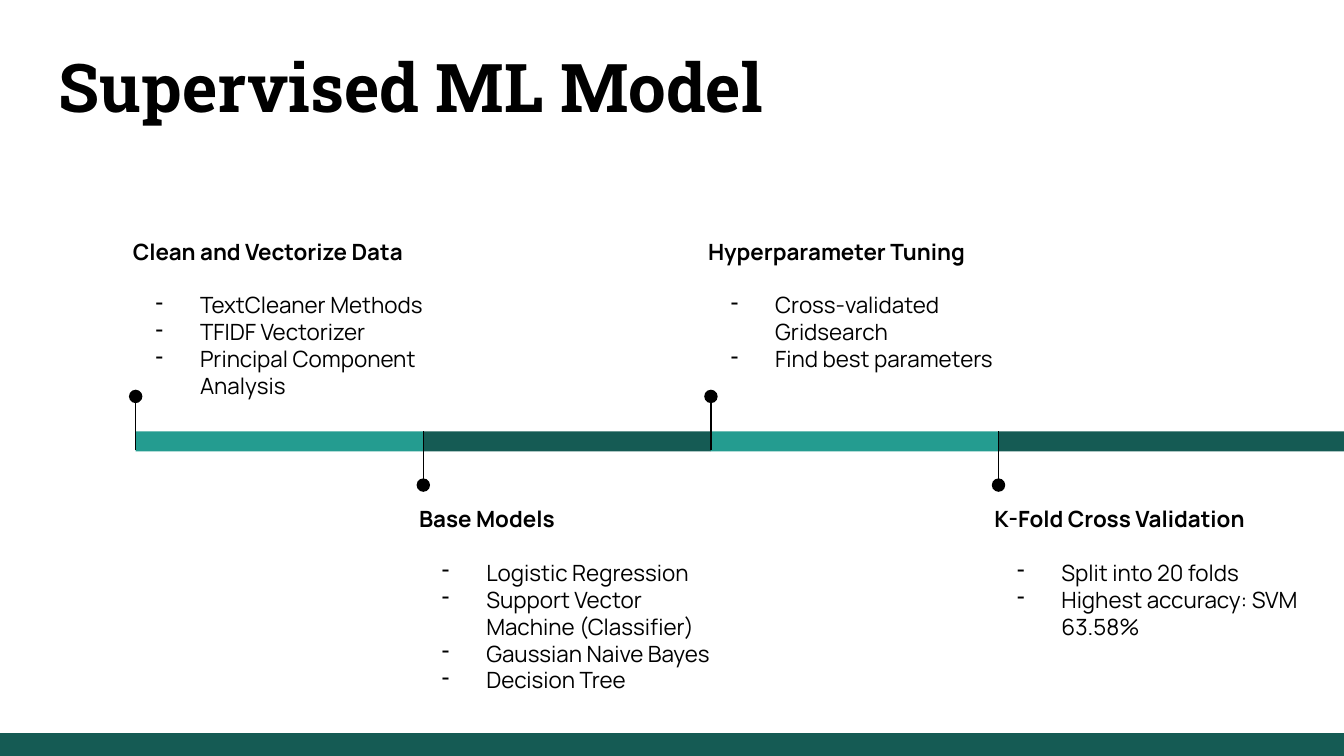
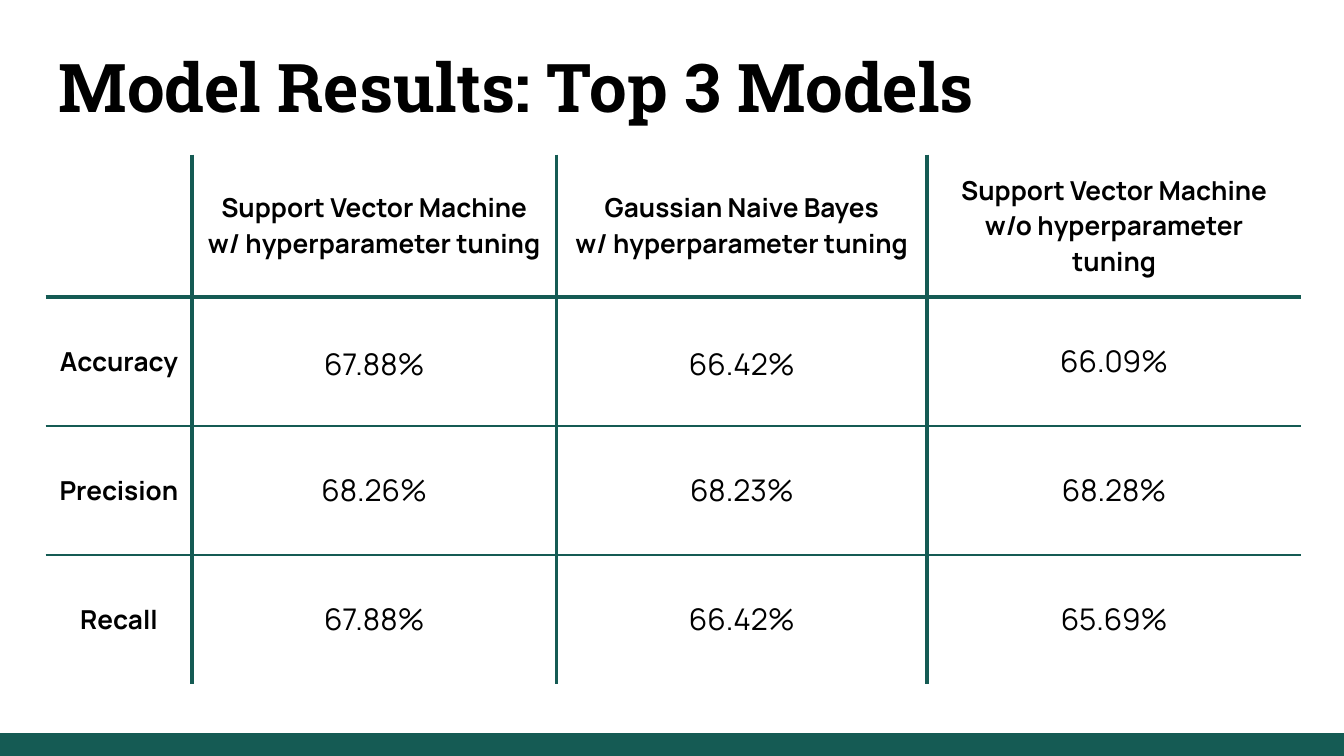
from dataclasses import dataclass

from lxml.etree import SubElement
from pptx import Presentation
from pptx.dml.color import RGBColor
from pptx.enum.shapes import MSO_CONNECTOR, MSO_SHAPE
from pptx.enum.text import MSO_ANCHOR, MSO_AUTO_SIZE, PP_ALIGN
from pptx.oxml.ns import qn
from pptx.shapes.autoshape import Shape
from pptx.shapes.shapetree import GroupShapes, SlideShapes
from pptx.slide import Slide
from pptx.table import _Cell as Cell
from pptx.text.text import TextFrame
from pptx.util import Inches, Pt

Shapes = SlideShapes | GroupShapes

COLORS = {"dark": "155B54", "light": "249C90", "text": "000000", "page": "FFFFFF"}
TITLE_FONT, BODY_FONT = "Roboto Slab", "Manrope"
SLIDE_W, SLIDE_H = Inches(10), Inches(5.625)
UNIT = SLIDE_W / 100
MARGIN, CONTENT_W = 3.4, 93.3


@dataclass(frozen=True)
class Box:
    col: float
    row: float
    cols: float
    rows: float

    def emu(self) -> tuple[int, int, int, int]:
        return grid(self.col), grid(self.row), grid(self.cols), grid(self.rows)


@dataclass(frozen=True)
class Stage:
    heading: str
    bullets: tuple[str, ...]


@dataclass(frozen=True)
class Side:
    color: str
    pin_end: float
    bar_end: float
    dot_row: float
    text_row: float
    text_shift: float


TITLE = Box(MARGIN, 2.4, CONTENT_W, 8.1)
FOOTER = Box(0, 54.6, 100, 1.65)

FIRST_COL, STAGE_COLS = 10.1, 21.4
BAR_ROW, BAR_ROWS, DOT = 32.1, 1.5, 1.0
ABOVE = Side("light", 29.6, 33.5, 29.0, 16.7, -1.2)
BELOW = Side("dark", 36.0, 32.1, 35.6, 36.6, -1.3)
STAGES = (
    Stage("Clean and Vectorize Data",
          ("TextCleaner Methods", "TFIDF Vectorizer", "Principal Component Analysis")),
    Stage("Base Models",
          ("Logistic Regression", "Support Vector Machine (Classifier)",
           "Gaussian Naive Bayes", "Decision Tree")),
    Stage("Hyperparameter Tuning", ("Cross-validated Gridsearch", "Find best parameters")),
    Stage("K-Fold Cross Validation", ("Split into 20 folds", "Highest accuracy: SVM 63.58%")),
)

RESULTS = (
    ("", "Support Vector Machine\nw/ hyperparameter tuning",
     "Gaussian Naive Bayes\nw/ hyperparameter tuning",
     "Support Vector Machine\nw/o hyperparameter tuning"),
    ("Accuracy", "67.88%", "66.42%", "66.09%"),
    ("Precision", "68.26%", "68.23%", "68.28%"),
    ("Recall", "67.88%", "66.42%", "65.69%"),
)
RESULT_COLS = (10.9, 27.1, 27.6, 27.8)
RESULT_ROWS = (10.6, 9.6, 9.6, 9.6)
THICK, THIN = 2.25, 0.75
COL_RULES = (0, THICK, THICK, THICK, 0)
ROW_RULES = (0, THICK, THIN, THIN, 0)
SPACED_CELLS = {(1, 1), (1, 2)}


def grid(units: float) -> int:
    return round(units * UNIT)


def rgb(name: str) -> RGBColor:
    return RGBColor.from_string(COLORS[name])


def write(tf: TextFrame, text: str, *, size: float, font: str = BODY_FONT,
          bold: bool = False, align: PP_ALIGN = PP_ALIGN.LEFT, bullet: str = "",
          after: float | None = None, spacing: float | None = None) -> None:
    p = tf.add_paragraph() if tf.text else tf.paragraphs[0]
    p.alignment = align
    if after is not None:
        p.space_after = Pt(after)
    if spacing is not None:
        p.line_spacing = spacing
    if bullet:
        ppr = p._p.get_or_add_pPr()
        ppr.set("marL", str(Inches(0.5)))
        ppr.set("indent", str(Inches(-0.33)))
        color = SubElement(ppr, qn("a:buClr"))
        SubElement(color, qn("a:srgbClr"), val=COLORS["text"])
        SubElement(ppr, qn("a:buChar"), char=bullet)
    r = p.add_run()
    r.text = text
    r.font.name, r.font.size, r.font.bold = font, Pt(size), bold
    r.font.color.rgb = rgb("text")


def set_insets(target: TextFrame | Cell) -> None:
    target.margin_left = target.margin_right = Inches(0.1)
    target.margin_top = target.margin_bottom = Inches(0.1)


def add_text_box(shapes: Shapes, box: Box) -> TextFrame:
    tf = shapes.add_textbox(*box.emu()).text_frame
    tf.word_wrap = True
    set_insets(tf)
    return tf


def add_solid(shapes: Shapes, kind: MSO_SHAPE, box: Box, color: str) -> Shape:
    sp = shapes.add_shape(kind, *box.emu())
    sp.shadow.inherit = False
    sp.fill.solid()
    sp.fill.fore_color.rgb = rgb(color)
    sp.line.fill.background()
    return sp


def add_pin(shapes: Shapes, col: float, start: float, end: float) -> None:
    x = grid(col)
    line = shapes.add_connector(MSO_CONNECTOR.STRAIGHT, x, grid(start), x, grid(end))
    line.line.color.rgb = rgb("text")
    line.line.width = Pt(THIN)
    SubElement(line._element.spPr, qn("a:effectLst"))


def add_slide(prs: Presentation, title: str) -> Slide:
    s = prs.slides.add_slide(prs.slide_layouts[6])
    s.background.fill.solid()
    s.background.fill.fore_color.rgb = rgb("page")
    tf = add_text_box(s.shapes, TITLE)
    tf.auto_size = MSO_AUTO_SIZE.SHAPE_TO_FIT_TEXT
    write(tf, title, size=36, font=TITLE_FONT, bold=True)
    footer = add_solid(s.shapes, MSO_SHAPE.RECTANGLE, FOOTER, "dark")
    footer.line.color.rgb = rgb("dark")
    footer.line.width = Pt(THIN)
    return s


def add_stage(s: Slide, index: int, stage: Stage) -> None:
    side = BELOW if index % 2 else ABOVE
    col = FIRST_COL + index * STAGE_COLS
    is_last = index == len(STAGES) - 1
    shapes = s.shapes.add_group_shape().shapes
    bar = Box(col, BAR_ROW, 100 - col if is_last else STAGE_COLS, BAR_ROWS)
    add_solid(shapes, MSO_SHAPE.RECTANGLE, bar, side.color)
    add_pin(shapes, col, side.pin_end, side.bar_end)
    add_solid(shapes, MSO_SHAPE.OVAL, Box(col - DOT / 2, side.dot_row, DOT, DOT), "text")
    tf = add_text_box(shapes, Box(col + side.text_shift, side.text_row, 24.6, 10.3))
    write(tf, stage.heading, size=12, bold=True, after=14.4)
    for bullet in stage.bullets:
        write(tf, bullet, size=12, bullet="-")


def set_border(cell: Cell, edge: str, width: float) -> None:
    tcpr = cell._tc.get_or_add_tcPr()
    ln = SubElement(tcpr, qn(f"a:ln{edge}"), w=str(Pt(width)))
    if width:
        fill = SubElement(ln, qn("a:solidFill"))
        SubElement(fill, qn("a:srgbClr"), val=COLORS["dark"])
    else:
        SubElement(ln, qn("a:noFill"))


def fill_cell(cell: Cell, row: int, col: int, text: str) -> None:
    set_insets(cell)
    cell.vertical_anchor = MSO_ANCHOR.MIDDLE
    edges = zip("LRTB", (*COL_RULES[col:col + 2], *ROW_RULES[row:row + 2]))
    for edge, width in edges:
        set_border(cell, edge, width)
    cell.fill.background()
    is_label = row == 0 or col == 0
    spaced = (row, col) in SPACED_CELLS
    for line in text.splitlines():
        write(cell.text_frame, line, size=14 if is_label else 16, bold=is_label,
              align=PP_ALIGN.CENTER, after=10 if spaced else None,
              spacing=1.15 if spaced else None)


def add_results(s: Slide) -> None:
    box = Box(MARGIN, 11.5, sum(RESULT_COLS), sum(RESULT_ROWS))
    table = s.shapes.add_table(len(RESULT_ROWS), len(RESULT_COLS), *box.emu()).table
    table.first_row = table.horz_banding = False
    for column, width in zip(table.columns, RESULT_COLS):
        column.width = grid(width)
    for table_row, height in zip(table.rows, RESULT_ROWS):
        table_row.height = grid(height)
    for row, texts in enumerate(RESULTS):
        for col, text in enumerate(texts):
            fill_cell(table.cell(row, col), row, col, text)


def main() -> None:
    prs = Presentation()
    prs.slide_width, prs.slide_height = SLIDE_W, SLIDE_H
    timeline = add_slide(prs, "Supervised ML Model")
    for index, stage in enumerate(STAGES):
        add_stage(timeline, index, stage)
    add_results(add_slide(prs, "Model Results: Top 3 Models"))
    prs.save("out.pptx")


if __name__ == "__main__":
    main()
